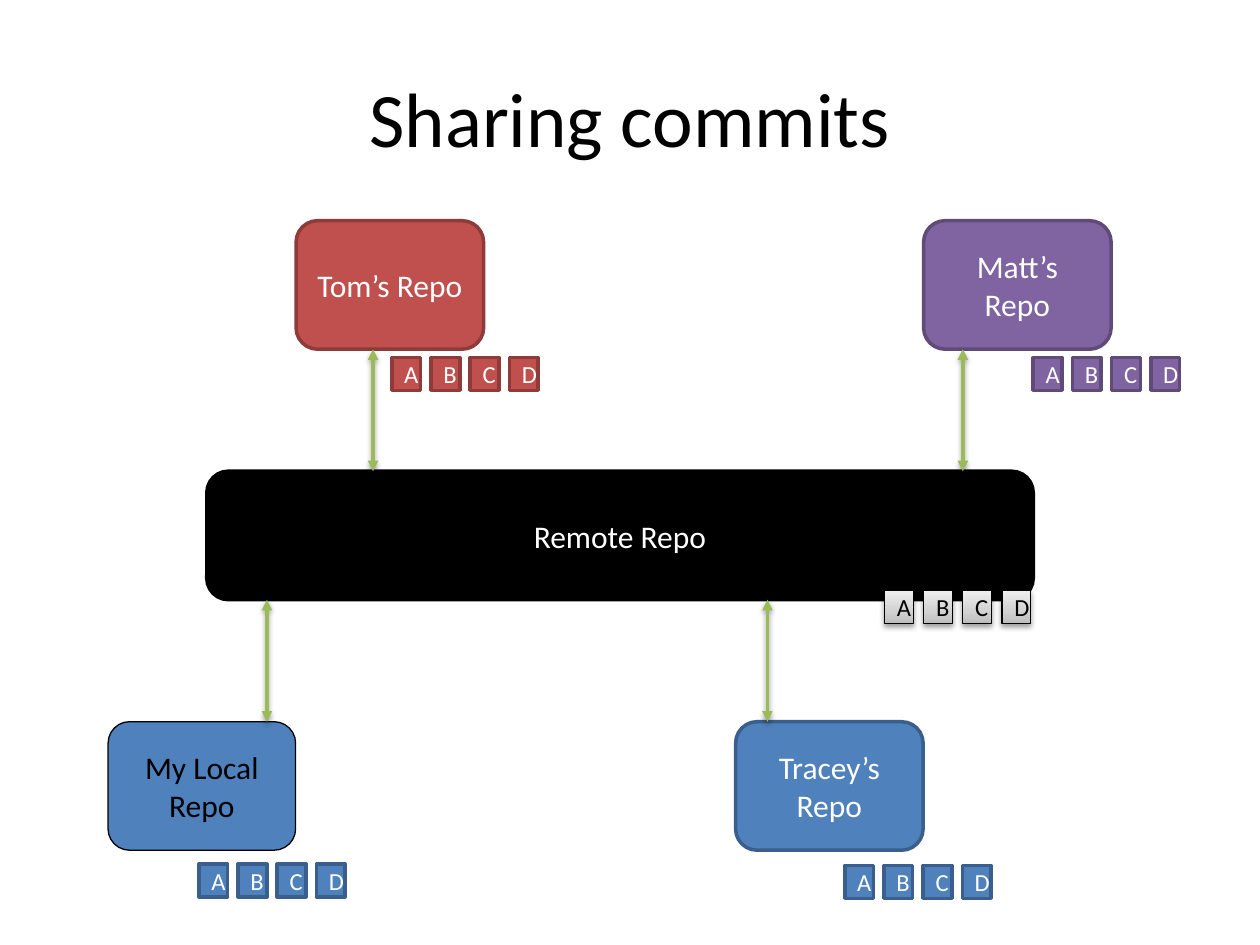
import copy

import lxml.etree
import pptx
import pptx.dml.color
import pptx.enum.shapes
import pptx.enum.text
import pptx.oxml.ns
import pptx.util

Cm, Pt = pptx.util.Cm, pptx.util.Pt
MSO_SHAPE = pptx.enum.shapes.MSO_SHAPE
qn = pptx.oxml.ns.qn

COLORS = {
    "black": "000000", "white": "FFFFFF", "green": "9BBB59",
    "blue": "4F81BD", "blue_edge": "3A5F8C",
    "red": "C0504D", "red_edge": "8E3B39",
    "purple": "8064A2", "purple_edge": "5F4A78",
    "gray_dark": "BDBDBD", "gray_mid": "D1D1D1", "gray_light": "EEEEEE",
}
GRAY_STOPS = [(0, "gray_dark"), (0.35, "gray_mid"), (1, "gray_light")]

REPO_W, REPO_H = 3.78, 2.59
TOP_Y, REMOTE_Y, BOTTOM_Y = 4.45, 9.5, 14.55
COMMIT_W, COMMIT_H, COMMIT_PITCH = 0.58, 0.66, 0.79


def rgb(name):
    return pptx.dml.color.RGBColor.from_string(COLORS[name])


class Deck:
    font = "Calibri"

    def __init__(self, slide):
        self.s = slide

    def label(self, sp, text, size, color):
        tf = sp.text_frame
        tf.text = text
        tf.word_wrap = True
        tf.vertical_anchor = pptx.enum.text.MSO_ANCHOR.MIDDLE
        p = tf.paragraphs[0]
        p.alignment = pptx.enum.text.PP_ALIGN.CENTER
        r = p.runs[0]
        r.font.name, r.font.size = self.font, Pt(size)
        r.font.color.rgb = rgb(color)

    def effects(self, sp, shadow):
        """Append the effect list; call once fill and line are set."""
        effects = lxml.etree.SubElement(sp.element.spPr, qn("a:effectLst"))
        if shadow:
            outer = lxml.etree.SubElement(
                effects, qn("a:outerShdw"), blurRad="40000", dist="20000",
                dir="5400000", rotWithShape="0")
            clr = lxml.etree.SubElement(outer, qn("a:srgbClr"), val=COLORS["black"])
            lxml.etree.SubElement(clr, qn("a:alpha"), val="38000")

    def gradient(self, sp, stops):
        sp.fill.gradient()
        sp.fill.gradient_angle = 90
        gs_list = sp.element.spPr.find(".//" + qn("a:gsLst"))
        gs_list.insert(1, copy.deepcopy(gs_list[0]))
        for stop, (position, color) in zip(sp.fill.gradient_stops, stops):
            stop.position = position
            stop.color.rgb = rgb(color)

    def title(self, text, x, y, w, h):
        sp = self.s.shapes.add_textbox(Cm(x), Cm(y), Cm(w), Cm(h))
        self.label(sp, text, 44, "black")

    def box(self, kind, text, x, y, w, h, fill, edge, color, size, line=2, shadow=False):
        sp = self.s.shapes.add_shape(kind, Cm(x), Cm(y), Cm(w), Cm(h))
        if isinstance(fill, list):
            self.gradient(sp, fill)
        else:
            sp.fill.solid()
            sp.fill.fore_color.rgb = rgb(fill)
        sp.line.color.rgb = rgb(edge)
        sp.line.width = Pt(line)
        self.effects(sp, shadow)
        self.label(sp, text, size, color)

    def repo(self, text, x, y, fill, edge, color="white", w=REPO_W, line=2):
        self.box(MSO_SHAPE.ROUNDED_RECTANGLE, text, x, y, w, REPO_H,
                 fill, edge, color, 18, line)

    def commits(self, x, y, fill, edge, color="white", line=2, shadow=False):
        for i, letter in enumerate("ABCD"):
            self.box(MSO_SHAPE.RECTANGLE, letter, x + i * COMMIT_PITCH, y,
                     COMMIT_W, COMMIT_H, fill, edge, color, 14, line, shadow)

    def arrow(self, x, y1, y2):
        cx = self.s.shapes.add_connector(
            pptx.enum.shapes.MSO_CONNECTOR.STRAIGHT, Cm(x), Cm(y1), Cm(x), Cm(y2))
        cx.line.color.rgb = rgb("green")
        cx.line.width = Pt(2)
        ln = cx.element.spPr.find(qn("a:ln"))
        for end in ("a:headEnd", "a:tailEnd"):
            lxml.etree.SubElement(ln, qn(end), type="triangle")
        self.effects(cx, True)


def main():
    prs = pptx.Presentation()
    prs.slide_width, prs.slide_height = Cm(25.4), Cm(19.05)
    deck = Deck(prs.slides.add_slide(prs.slide_layouts[6]))

    deck.title("Sharing commits", 1.27, 0.76, 22.86, 3.18)

    # Repositories
    deck.repo("My Local Repo", 2.18, BOTTOM_Y, "blue", "black", "black", line=0.75)
    deck.repo("Tom’s Repo", 5.97, TOP_Y, "red", "red_edge")
    deck.repo("Tracey’s Repo", 14.83, BOTTOM_Y, "blue", "blue_edge")
    deck.repo("Matt’s Repo", 18.62, TOP_Y, "purple", "purple_edge")
    deck.repo("Remote Repo", 4.17, REMOTE_Y, "black", "black", w=16.66)

    # Commits held by each repository
    deck.commits(4.01, 17.42, "blue", "blue_edge")
    deck.commits(7.9, 7.21, "red", "red_edge")
    deck.commits(17.03, 17.45, "blue", "blue_edge")
    deck.commits(20.83, 7.21, "purple", "purple_edge")
    deck.commits(17.83, 11.91, GRAY_STOPS, "black", "black", 0.75, True)

    # Links between the remote and the other repositories
    for x in (7.52, 19.41):
        deck.arrow(x, REMOTE_Y, TOP_Y + REPO_H)
    for x in (5.38, 15.47):
        deck.arrow(x, BOTTOM_Y, REMOTE_Y + REPO_H)

    prs.save("out.pptx")


if __name__ == "__main__":
    main()
